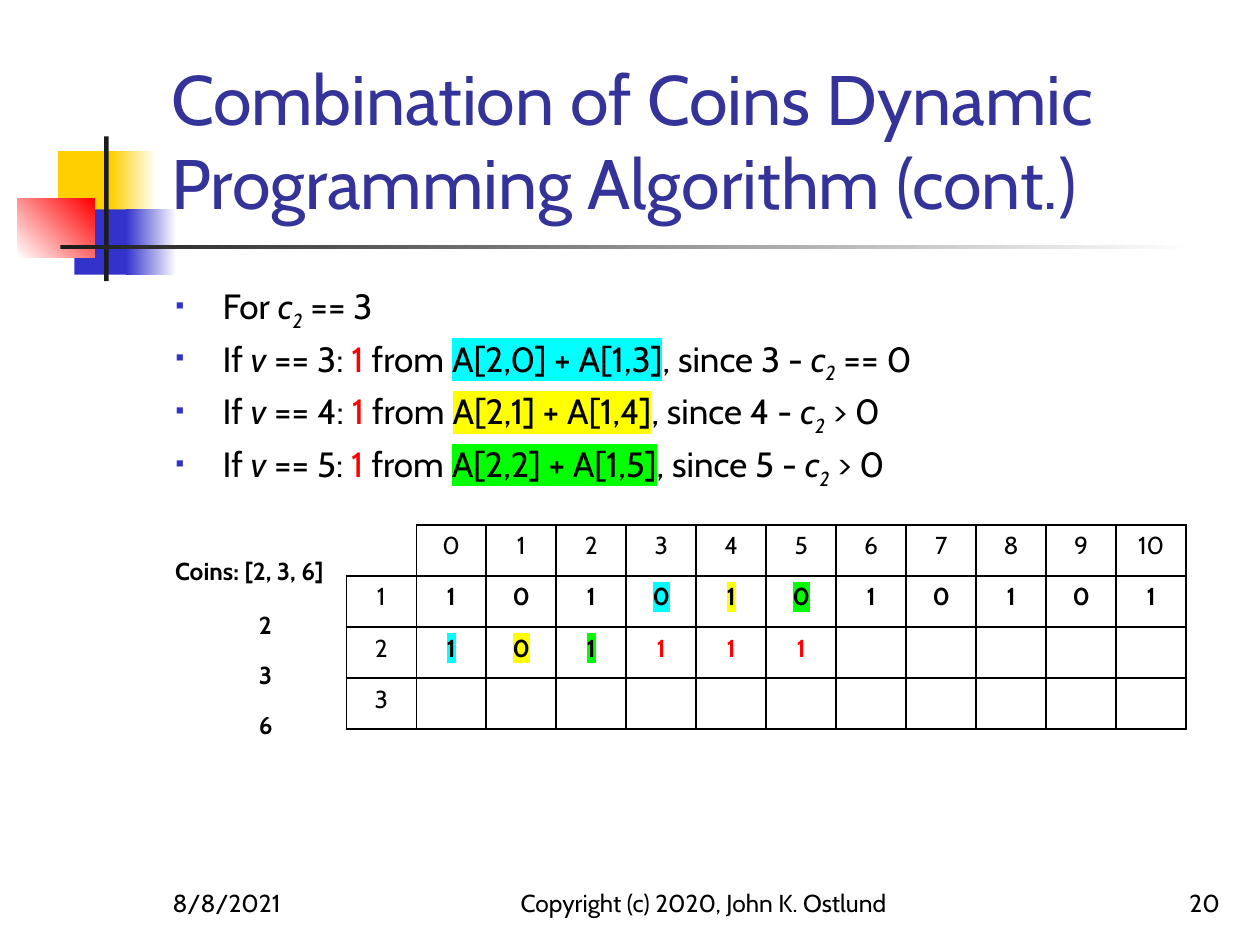
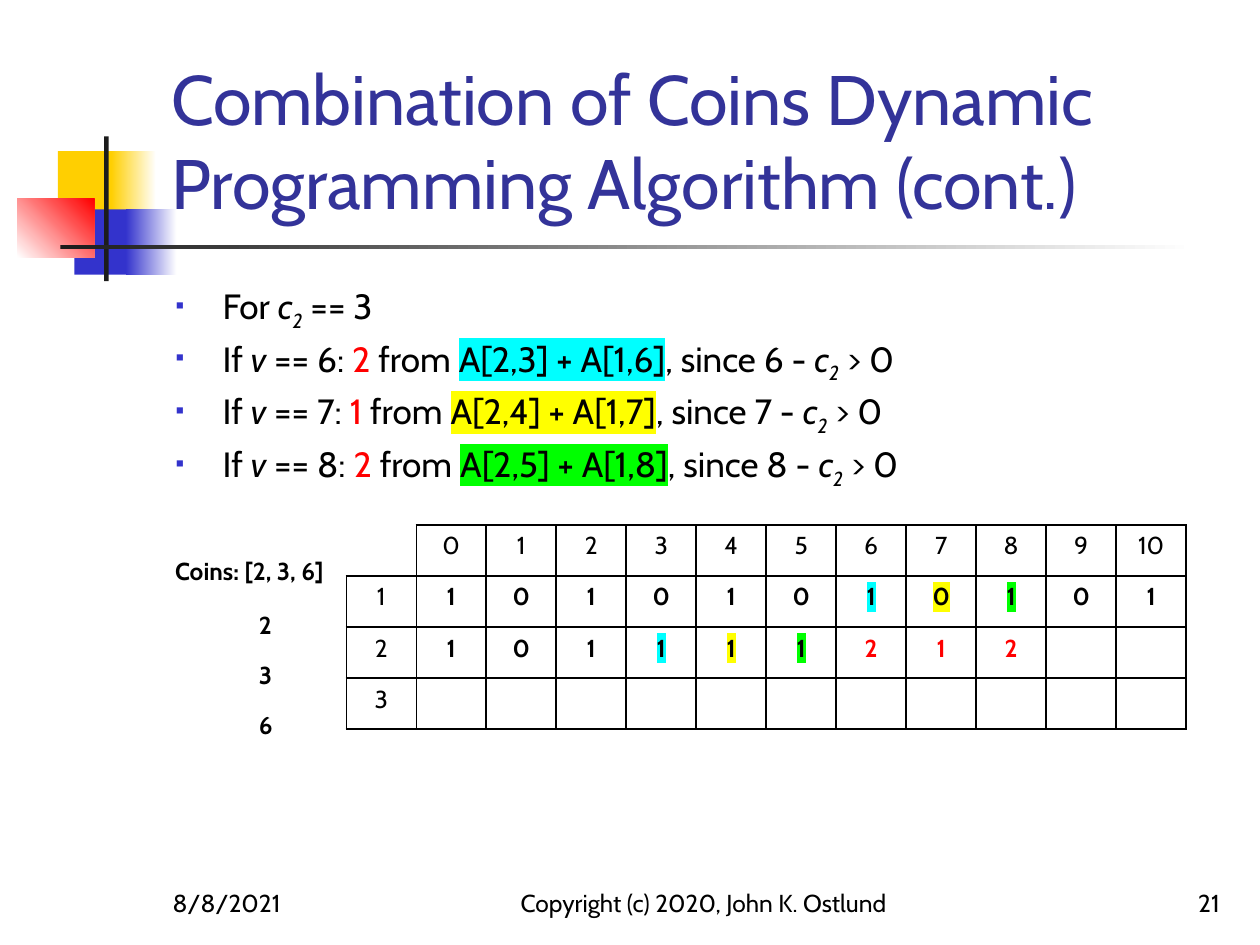
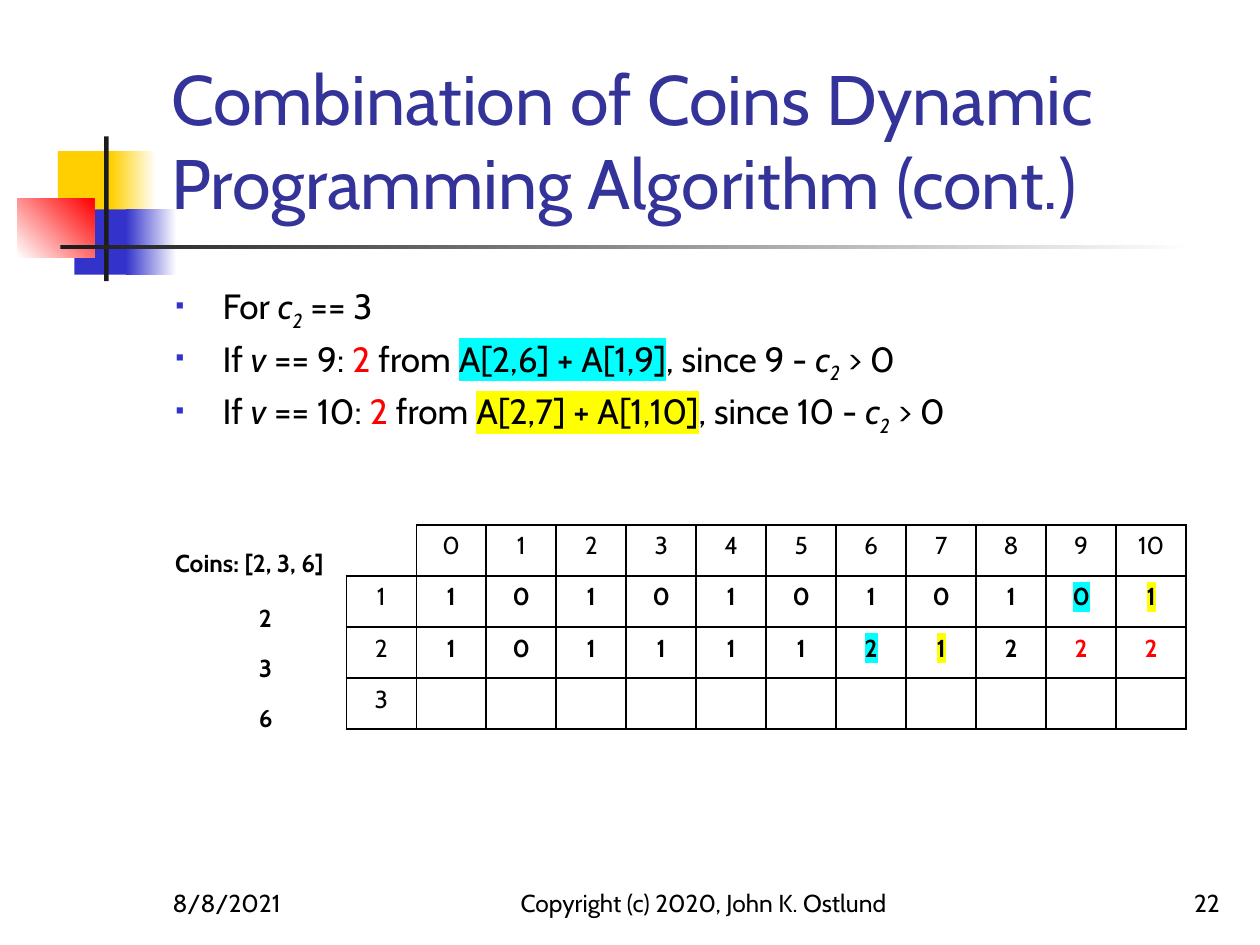
from lxml import etree
from pptx import Presentation
from pptx.dml.color import RGBColor
from pptx.enum.shapes import MSO_SHAPE
from pptx.enum.text import MSO_ANCHOR, PP_ALIGN
from pptx.oxml.ns import qn
from pptx.util import Cm, Pt

RECT = MSO_SHAPE.RECTANGLE
TOP, BOTTOM = MSO_ANCHOR.TOP, MSO_ANCHOR.BOTTOM
LEFT, MID, RIGHT = PP_ALIGN.LEFT, PP_ALIGN.CENTER, PP_ALIGN.RIGHT

FONT = "Cabin"
COLORS = {
    "text": "000000", "title": "333399", "white": "FFFFFF", "dark": "1C1C1C",
    "gold": "FFCF01", "blue": "3333CC", "red": "FF0000",
    "cyan": "00FFFF", "yellow": "FFFF00", "green": "00FF00",
}
MARKS = ["cyan", "yellow", "green"]

# Left, top, width, height, first colour, last colour, angle
DECOR = [
    (1.17, 3.05, 1.22, 1.32, "gold", None, 0),
    (2.24, 3.05, 0.91, 1.32, "gold", "white", 0),
    (1.5, 4.22, 1.17, 1.32, "blue", None, 0),
    (2.54, 4.22, 1.02, 1.32, "blue", "white", 0),
    (0.35, 4.01, 1.55, 1.18, "white", "red", 45),
    (2.1, 2.75, 0.09, 2.92, "dark", None, 0),
    (1.22, 4.94, 22.86, 0.09, "dark", "white", 0),
]

TITLE = "Combination of Coins Dynamic Programming Algorithm (cont.)"
COINS = [2, 3, 6]
COIN = COINS[1]
ONE = [1, 0, 1, 0, 1, 0, 1, 0, 1, 0, 1]
TWO = [1, 0, 1, 1, 1, 1, 2, 1, 2, 2, 2]

# Slide number, values of v worked out on it, top of the coin list
STEPS = [(20, [3, 4, 5], 11.2), (21, [6, 7, 8], 11.2), (22, [9, 10], 11.05)]


def put(para, text, size, color="text", mark=None, bold=False, italic=False, sub=False):
    """Add one run to a paragraph."""
    run = para.add_run()
    run.text = text
    font = run.font
    font.name, font.size = FONT, Pt(size)
    font.bold, font.italic = bold, italic
    font.color.rgb = RGBColor.from_string(COLORS[color])
    props = run._r.get_or_add_rPr()
    if sub:
        props.set("baseline", "-25000")
    if mark:
        glow = etree.Element(qn("a:highlight"))
        etree.SubElement(glow, qn("a:srgbClr"), val=COLORS[mark])
        props.find(qn("a:latin")).addprevious(glow)


def box(slide, left, top, width, height, anchor=TOP, align=LEFT):
    """Add a wrapping text box and return its frame."""
    frame = slide.shapes.add_textbox(Cm(left), Cm(top), Cm(width), Cm(height)).text_frame
    frame.word_wrap = True
    frame.vertical_anchor = anchor
    frame.paragraphs[0].alignment = align
    return frame


deck = Presentation()
deck.slide_width, deck.slide_height = Cm(25.4), Cm(19.05)

for number, values, top in STEPS:
    slide = deck.slides.add_slide(deck.slide_layouts[6])

    # Corner squares and rules
    for x, y, w, h, first, last, angle in DECOR:
        shape = slide.shapes.add_shape(RECT, Cm(x), Cm(y), Cm(w), Cm(h))
        shape.shadow.inherit = False
        shape.line.fill.background()
        if last:
            shape.fill.gradient()
            shape.fill.gradient_angle = angle
            for stop, name in zip(shape.fill.gradient_stops, (first, last)):
                stop.color.rgb = RGBColor.from_string(COLORS[name])
        else:
            shape.fill.solid()
            shape.fill.fore_color.rgb = RGBColor.from_string(COLORS[first])

    # Title and footers
    frame = box(slide, 3.2, 0.58, 21.64, 4.06, BOTTOM)
    put(frame.paragraphs[0], TITLE, 40, "title")
    for x, w, align, text in [
        (3.23, 5.28, LEFT, "8/8/2021"),
        (10.16, 8.05, MID, "Copyright (c) 2020, John K. Ostlund"),
        (19.56, 5.28, RIGHT, str(number)),
    ]:
        frame = box(slide, x, 17.35, w, 1.27, BOTTOM, align)
        put(frame.paragraphs[0], text, 14)

    # Bullets: one for the coin, then one for each value
    frame = box(slide, 3.28, 5.61, 21.59, 4.6)
    for row in range(len(values) + 1):
        para = frame.add_paragraph() if row else frame.paragraphs[0]
        props = para._p.get_or_add_pPr()
        props.set("marL", str(Cm(0.96)))
        props.set("indent", str(Cm(-0.96)))
        tint = etree.SubElement(props, qn("a:buClr"))
        etree.SubElement(tint, qn("a:srgbClr"), val=COLORS["blue"])
        etree.SubElement(props, qn("a:buSzPct"), val="60000")
        etree.SubElement(props, qn("a:buFont"), typeface="Wingdings")
        etree.SubElement(props, qn("a:buChar"), char="§")
        if row:
            para.space_before = Pt(2.8)
            v = values[row - 1]
            put(para, "If ", 20)
            put(para, "v", 20, italic=True)
            put(para, f" == {v}: ", 20)
            put(para, str(TWO[v]), 20, "red")
            put(para, " from ", 20)
            put(para, f"A[2,{v - COIN}] + A[1,{v}]", 20, mark=MARKS[row - 1])
            put(para, f", since {v} - ", 20)
            end = " == 0" if v == COIN else " > 0"
        else:
            put(para, "For ", 20)
            end = f" == {COIN}"
        put(para, "c", 20, italic=True)
        put(para, "2", 20, italic=True, sub=True)
        put(para, end, 20)

    # Coin list beside the table rows
    frame = box(slide, 3.28, top, 3.7, 3.9)
    frame.margin_top = 0
    put(frame.paragraphs[0], f"Coins: {COINS}", 14, bold=True)
    for coin, gap in zip(COINS, (14.4, 11.7, 11.7)):
        para = frame.add_paragraph()
        para.space_before = Pt(gap)
        para._p.get_or_add_pPr().set("marL", str(Cm(1.69)))
        put(para, str(coin), 14, bold=True)

    # Table of combinations
    heads = ["", *range(len(ONE))]
    known = TWO[:values[-1] + 1]
    rows = [heads, [1, *ONE], [2, *known], [3]]
    marks = {}
    for v, mark in zip(values, MARKS):
        marks[1, v + 1] = marks[2, v - COIN + 1] = mark
    grid = slide.shapes.add_table(len(rows), len(heads), Cm(6.98), Cm(10.58), Cm(16.94), Cm(4.12)).table
    grid.first_row = grid.horz_banding = False
    for col in grid.columns:
        col.width = Cm(16.94 / len(heads))
    for r, row in enumerate(rows):
        grid.rows[r].height = Cm(1.03)
        for c in range(len(heads)):
            cell = grid.cell(r, c)
            props = cell._tc.get_or_add_tcPr()
            for side in "RB" if r == c == 0 else "LRTB":
                edge = etree.SubElement(props, qn(f"a:ln{side}"), w=str(Pt(1)))
                fill = etree.SubElement(edge, qn("a:solidFill"))
                etree.SubElement(fill, qn("a:srgbClr"), val=COLORS["text"])
            cell.fill.background()
            if c < len(row) and row[c] != "":
                para = cell.text_frame.paragraphs[0]
                para.alignment = MID
                color = "red" if r == 2 and c - 1 in values else "text"
                put(para, str(row[c]), 14, color, marks.get((r, c)), bold=r > 0 and c > 0)

deck.save("out.pptx")
